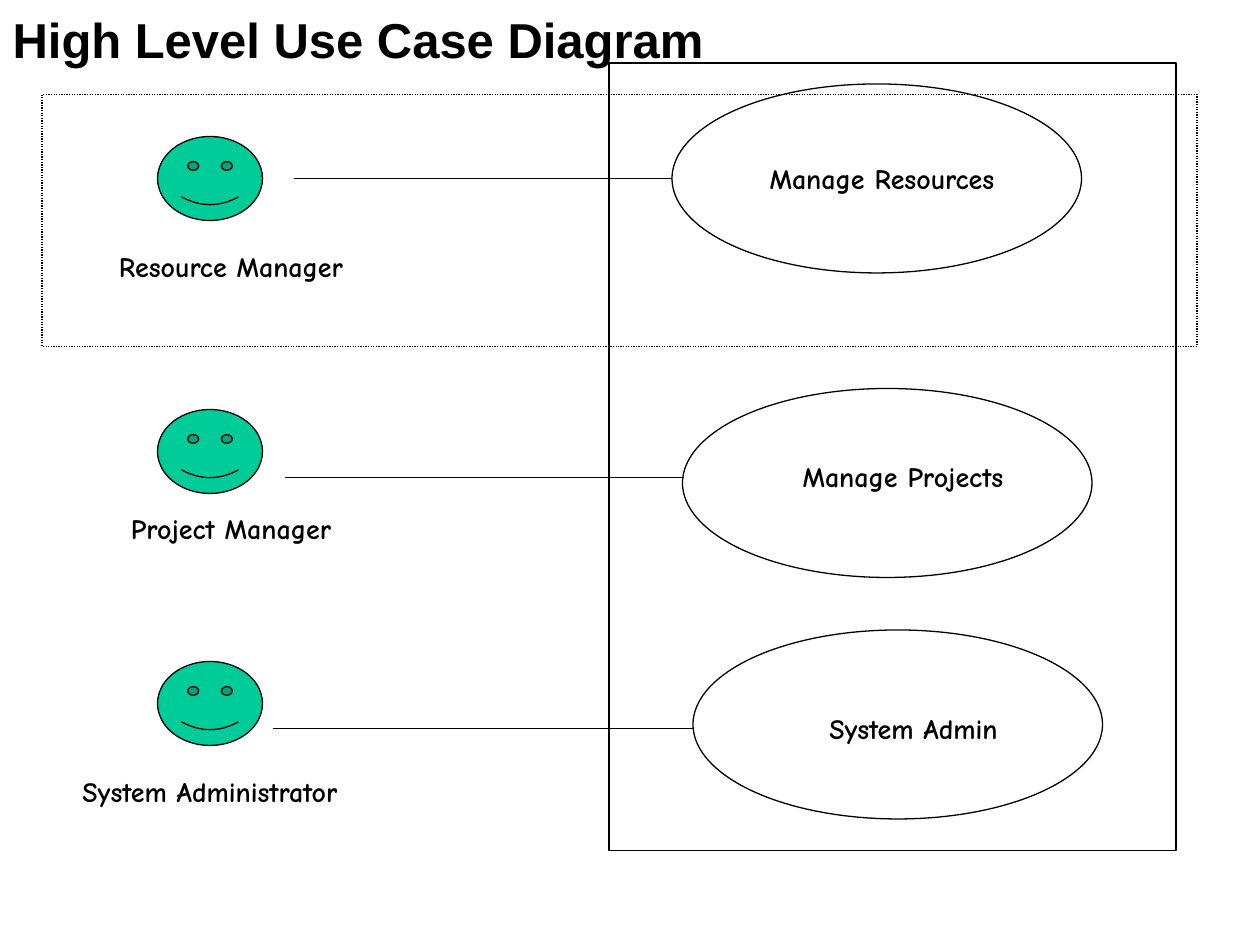
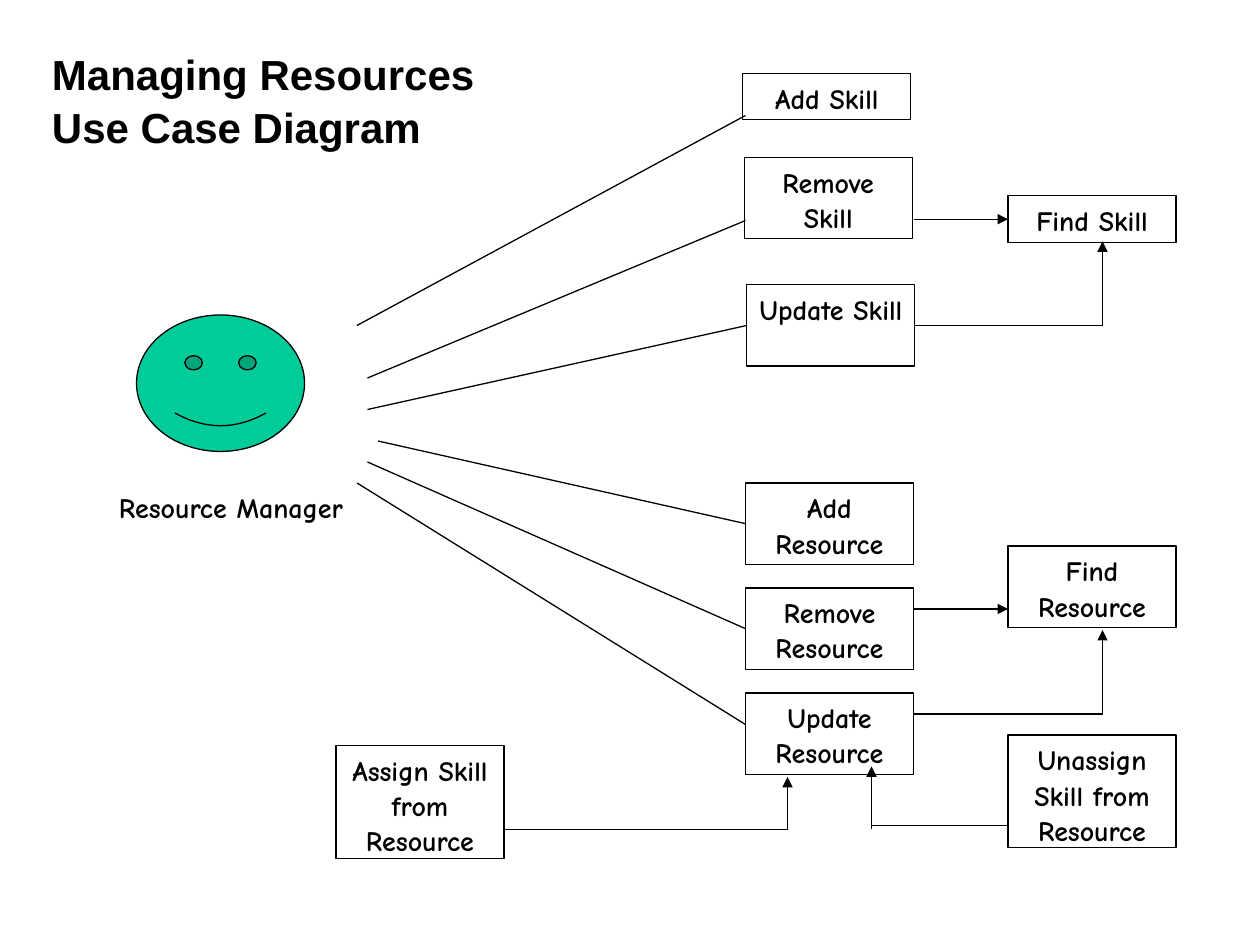
import dataclasses

import lxml.etree
import pptx
import pptx.dml.color
import pptx.enum.dml
import pptx.enum.shapes
import pptx.enum.text
import pptx.oxml.ns
import pptx.util

PX = 9525
BLACK = pptx.dml.color.RGBColor(0x00, 0x00, 0x00)
GREEN = pptx.dml.color.RGBColor(0x00, 0xCC, 0x99)
TITLE_FONT = "Arial"
LABEL_FONT = "Comic Neue"
LINE_WIDTH = pptx.util.Pt(0.75)
LINE_SPACING = 1.05
LABEL_WIDTH, LABEL_HEIGHT = 224, 35
STEP_WIDTH, STEP_HEIGHT = 128, 62
TOP, LEFT, BOTTOM, RIGHT = range(4)
ALIGN = pptx.enum.text.PP_ALIGN
SHAPE = pptx.enum.shapes.MSO_SHAPE


@dataclasses.dataclass
class Joint:
    """A side of a step box that a line is joined to."""
    step: object
    side: int


def emu(*lengths):
    """Turn px lengths into EMU."""
    return [pptx.util.Emu(length * PX) for length in lengths]


def write(holder, text, font, size, align):
    """Put bold black text at the top of a shape."""
    frame = holder.text_frame
    frame.text = text
    frame.word_wrap = True
    frame.auto_size = pptx.enum.text.MSO_AUTO_SIZE.NONE
    frame.vertical_anchor = pptx.enum.text.MSO_ANCHOR.TOP
    paragraph = frame.paragraphs[0]
    paragraph.alignment = align
    paragraph.line_spacing = LINE_SPACING
    paragraph.font.name = font
    paragraph.font.size = pptx.util.Pt(size)
    paragraph.font.bold = True
    paragraph.font.color.rgb = BLACK


def add_titled_slide(deck, text, box, size):
    """Add a title-only slide and place its title."""
    slide = deck.slides.add_slide(deck.slide_layouts[5])
    title = slide.shapes.title
    title.left, title.top, title.width, title.height = emu(*box)
    write(title, text, TITLE_FONT, size, ALIGN.LEFT)
    return slide


def add_outline(slide, kind, box, fill=None):
    """Draw a preset shape with a thin black outline."""
    outline = slide.shapes.add_shape(kind, *emu(*box))
    outline.shadow.inherit = False
    if fill is None:
        outline.fill.background()
    else:
        outline.fill.solid()
        outline.fill.fore_color.rgb = fill
    outline.line.color.rgb = BLACK
    outline.line.width = LINE_WIDTH
    return outline


def add_label(slide, text, left, top):
    """Add a centred free-standing label."""
    label = slide.shapes.add_textbox(*emu(left, top, LABEL_WIDTH, LABEL_HEIGHT))
    write(label, text, LABEL_FONT, 16, ALIGN.CENTER)


def add_step(slide, text, left, top, height=STEP_HEIGHT):
    """Draw a rectangular use-case step."""
    step = add_outline(slide, SHAPE.RECTANGLE, (left, top, STEP_WIDTH, height))
    write(step, text, LABEL_FONT, 16, ALIGN.CENTER)
    return step


def add_link(slide, start, end, arrow=False):
    """Draw a straight line between points or joints."""
    first = (0, 0) if isinstance(start, Joint) else start
    last = (0, 0) if isinstance(end, Joint) else end
    link = slide.shapes.add_connector(
        pptx.enum.shapes.MSO_CONNECTOR.STRAIGHT, *emu(*first, *last))
    if isinstance(start, Joint):
        link.begin_connect(start.step, start.side)
    if isinstance(end, Joint):
        link.end_connect(end.step, end.side)
    link.line.color.rgb = BLACK
    link.line.width = LINE_WIDTH
    qn = pptx.oxml.ns.qn
    properties = link.element.spPr
    if arrow:
        lxml.etree.SubElement(properties.find(qn("a:ln")), qn("a:tailEnd"), type="triangle")
    lxml.etree.SubElement(properties, qn("a:effectLst"))


def add_elbow(slide, start, corner, tip):
    """Draw a line to a corner and an arrow on to its tip."""
    add_link(slide, start, corner)
    add_link(slide, corner, tip, arrow=True)


def add_actor(slide, name, face, label_offset):
    """Draw a smiling actor with a name placed relative to the face."""
    smiley = add_outline(slide, SHAPE.SMILEY_FACE, face, GREEN)
    smiley.adjustments[0] = 0.0465
    smiley.adjustments[0] = 0.093
    add_label(slide, name, face[0] + label_offset[0], face[1] + label_offset[1])


def add_use_case(slide, name, left, top, label_offset):
    """Draw a use-case ellipse and its label."""
    add_outline(slide, SHAPE.OVAL, (left, top, 312, 144))
    add_label(slide, name, left + label_offset[0], top + label_offset[1])


def build_overview(deck):
    """Build the high-level diagram of actors and use cases."""
    slide = add_titled_slide(deck, "High Level Use Case Diagram", (0, 0, 704, 123), 28)
    rows = [
        ("Resource Manager", 104, (-56, 80), "Manage Resources", (512, 64), (48, 53),
         (224, 136), 512),
        ("Project Manager", 312, (-56, 72), "Manage Projects", (520, 296), (56, 48),
         (217, 364), 521),
        ("System Administrator", 504, (-72, 80), "System Admin", (528, 480), (56, 56),
         (208, 555), 528),
    ]
    for actor, face_top, name_offset, case, corner, case_offset, start, end_x in rows:
        add_actor(slide, actor, (120, face_top, 80, 64), name_offset)
        add_use_case(slide, case, *corner, case_offset)
        add_link(slide, start, (end_x, start[1]))
    add_outline(slide, SHAPE.RECTANGLE, (464, 48, 432, 600))
    focus = add_outline(slide, SHAPE.RECTANGLE, (32, 72, 880, 192))
    focus.line.dash_style = pptx.enum.dml.MSO_LINE.ROUND_DOT


def add_skill_steps(slide, left, top):
    """Draw the skill steps and their links from a top-left corner."""
    add_step(slide, "Add Skill", left - 2, top, 35)
    add_step(slide, "Remove Skill", left - 1, top + 64)
    update = add_step(slide, "Update Skill", left + 1, top + 161)
    find = add_step(slide, "Find Skill", left + 200, top + 93, 36)
    add_link(slide, (left - 296, top + 192), (left, top + 32))
    add_link(slide, (left - 288, top + 232), (left, top + 112))
    add_link(slide, (left - 288, top + 256), Joint(update, LEFT))
    add_link(slide, (left + 128, top + 111), Joint(find, LEFT), arrow=True)
    add_elbow(slide, Joint(update, RIGHT), (left + 272, top + 192), (left + 272, top + 128))


def add_resource_steps(slide, left, top):
    """Draw the resource steps and their links from a top-left corner."""
    names = ("Add Resource", "Remove Resource", "Update Resource")
    add, remove, _ = [add_step(slide, name, left, top + 80 * row)
                      for row, name in enumerate(names)]
    add_step(slide, "Find Resource", left + 200, top + 48)
    add_step(slide, "Unassign Skill from Resource", left + 200, top + 192, 86)
    add_step(slide, "Assign Skill from Resource", left - 312, top + 200, 86)
    add_link(slide, (left - 280, top - 32), Joint(add, LEFT))
    add_link(slide, (left - 288, top - 16), Joint(remove, LEFT))
    add_link(slide, (left - 296, top), (left, top + 184))
    add_link(slide, (left + 128, top + 96), (left + 200, top + 96), arrow=True)
    add_elbow(slide, (left + 128, top + 176), (left + 272, top + 176), (left + 272, top + 112))
    add_elbow(slide, (left - 184, top + 264), (left + 32, top + 264), (left + 32, top + 224))
    add_link(slide, (left + 200, top + 261), (left + 96, top + 261))
    add_link(slide, (left + 96, top + 264), (left + 96, top + 216), arrow=True)


def build_resources(deck):
    """Build the diagram of managing resources."""
    slide = add_titled_slide(deck, "Managing Resources Use Case Diagram", (30, 30, 378, 145), 24)
    add_actor(slide, "Resource Manager", (104, 240, 128, 104), (-40, 128))
    add_skill_steps(slide, 568, 56)
    add_resource_steps(slide, 568, 368)


def main():
    """Build and save the deck."""
    deck = pptx.Presentation()
    deck.slide_width, deck.slide_height = emu(960, 720)
    build_overview(deck)
    build_resources(deck)
    deck.save("out.pptx")


if __name__ == "__main__":
    main()
